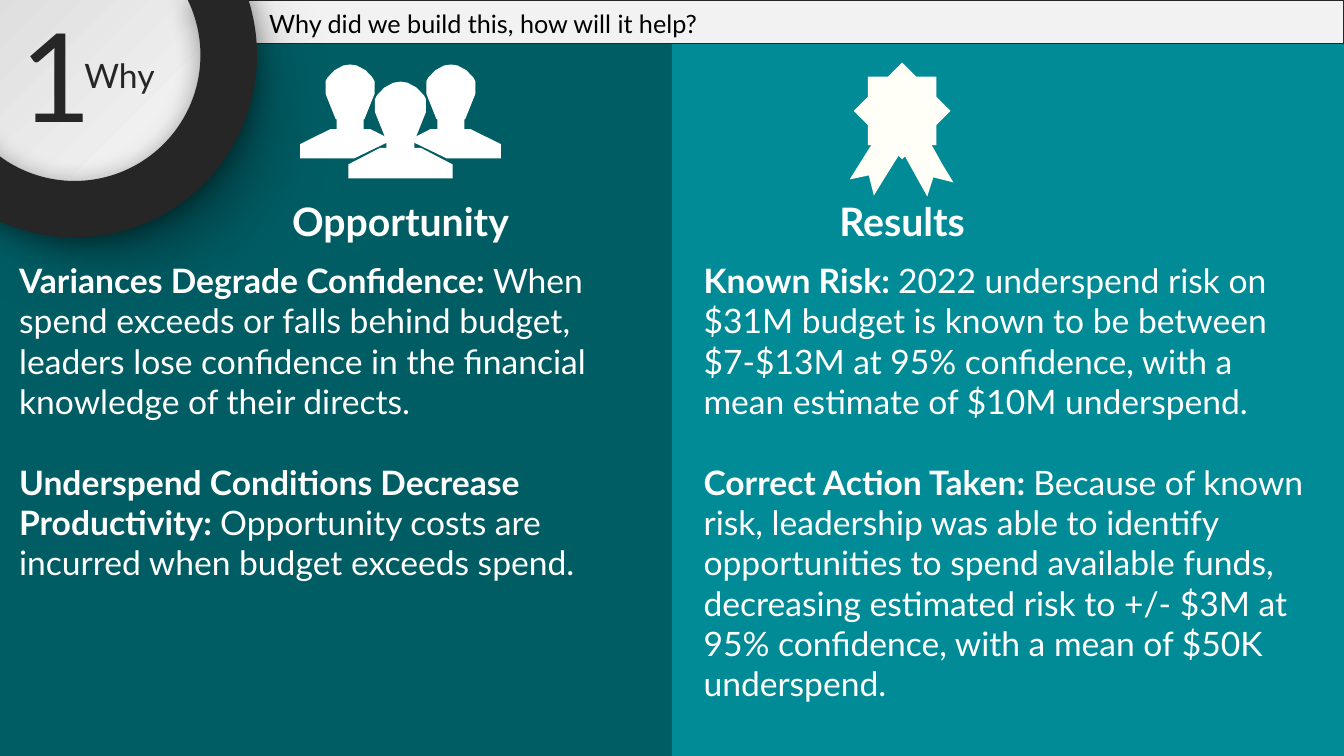
from pptx import Presentation
from pptx.dml.color import RGBColor
from pptx.enum.shapes import MSO_SHAPE
from pptx.enum.text import MSO_ANCHOR, MSO_AUTO_SIZE, PP_ALIGN
from pptx.oxml import parse_xml
from pptx.oxml.ns import nsdecls, qn
from pptx.util import Emu, Pt

WIDE, HIGH = Emu(12192000), Emu(6858000)
CELL = WIDE / 40
FONT = "Lato"
HUES = {
    "back": "F7F7F7", "dark": "005D64", "teal": "008B96", "bar": "F2F2F2",
    "ink": "262626", "gray": "808080", "edge": "D9D9D9", "black": "000000",
    "white": "FFFFFF", "cream": "FFFEF7",
}
HEAD = [(0, 0), (.2, .03), (.46, .17), (.67, .39), (.73, .5), (.73, .87),
        (.43, 1.62), (.37, 1.65), (.2, 1.73), (0, 1.75)]
BUST = [(-.59, 1.9), (.59, 1.9), (1.49, 2.37), (1.49, 2.77), (-1.49, 2.77), (-1.49, 2.37)]
SIDE = [(-.6, 1.92), (.58, 1.92), (1.49, 2.37), (1.49, 2.79), (-.13, 2.79), (-1.25, 2.25)]
TAILS = [
    [(26.7, 4.2), (27.45, 3.81), (28.05, 4.89), (28.38, 5.43), (27.78, 5.28),
     (27.6, 5.85), (27, 4.77)],
    [(26.31, 3.75), (27, 4.23), (26.34, 5.28), (26.01, 5.82), (25.86, 5.22),
     (25.29, 5.34), (25.95, 4.29)],
]
LEFT = [
    ("Variances Degrade Confidence: ",
     "When spend exceeds or falls behind budget, leaders lose confidence in the "
     "financial knowledge of their directs."),
    ("Underspend Conditions Decrease Productivity: ",
     "Opportunity costs are incurred when budget exceeds spend."),
]
RIGHT = [
    ("Known Risk: ",
     "2022 underspend risk on $31M budget is known to be between $7-$13M at 95% "
     "confidence, with a mean estimate of $10M underspend."),
    ("Correct Action Taken: ",
     "Because of known risk, leadership was able to identify opportunities to spend "
     "available funds, decreasing estimated risk to +/- $3M at 95% confidence, with "
     "a mean of $50K underspend."),
]


def grid(*cells):
    return [Emu(round(cell * CELL)) for cell in cells]


def tint(name):
    return RGBColor.from_string(HUES[name])


def paint(shape, hue, line=None, width=1):
    shape.shadow.inherit = False
    shape.fill.solid()
    shape.fill.fore_color.rgb = tint(hue)
    if line:
        shape.line.color.rgb = tint(line)
        shape.line.width = Pt(width)
    else:
        shape.line.fill.background()
    return shape


def block(slide, kind, box, hue, line=None, width=1):
    return paint(slide.shapes.add_shape(kind, *grid(*box)), hue, line, width)


def outline(slide, dots, hue):
    first, *rest = [grid(*dot) for dot in dots]
    pen = slide.shapes.build_freeform(*first, scale=1)
    pen.add_line_segments(rest, close=True)
    return paint(pen.convert_to_shape(), hue)


def shade(shape, blur, gap, turn):
    shape._element.spPr.find(qn("a:effectLst")).append(parse_xml(
        f'<a:outerShdw {nsdecls("a")} blurRad="{Pt(blur)}" dist="{Pt(gap)}" '
        f'dir="{turn * 60000}" algn="ctr" rotWithShape="0">'
        f'<a:srgbClr val="{HUES["black"]}"><a:alpha val="40000"/></a:srgbClr>'
        '</a:outerShdw>'))


def glow(shape):
    stops = "".join(
        f'<a:gs pos="{spot * 1000}"><a:srgbClr val="{HUES[hue]}"/></a:gs>'
        for spot, hue in [(0, "bar"), (22, "bar"), (94, "edge")])
    props = shape._element.spPr
    props.replace(props.find(qn("a:solidFill")), parse_xml(
        f'<a:gradFill {nsdecls("a")} rotWithShape="1"><a:gsLst>{stops}</a:gsLst>'
        '<a:path path="circle"><a:fillToRect l="100000" t="100000"/></a:path>'
        '</a:gradFill>'))


def write(shape, box, paras, size, hue, align=PP_ALIGN.LEFT, anchor=MSO_ANCHOR.TOP):
    shape.left, shape.top, shape.width, shape.height = grid(*box)
    node = shape._element
    node.getparent().append(node)
    frame = shape.text_frame
    frame.word_wrap = True
    frame.auto_size = MSO_AUTO_SIZE.SHAPE_TO_FIT_TEXT
    frame.vertical_anchor = anchor
    for spot, runs in enumerate(paras):
        para = frame.add_paragraph() if spot else frame.paragraphs[0]
        para.alignment = align
        para.space_before = Pt(0)
        para.space_after = Pt(28.8 if spot < len(paras) - 1 else 0)
        props = para._p.get_or_add_pPr()
        props.set("marL", "0")
        props.set("indent", "0")
        props.append(parse_xml(f'<a:buNone {nsdecls("a")}/>'))
        for text, bold in runs:
            run = para.add_run()
            run.text = text
            run.font.name = FONT
            run.font.size = Pt(size)
            run.font.bold = bold
            run.font.color.rgb = tint(hue)


def label(slide, box, text, size):
    shape = slide.shapes.add_textbox(*grid(*box))
    write(shape, box, [[(text, False)]], size, "ink", PP_ALIGN.CENTER, MSO_ANCHOR.MIDDLE)


def person(slide, mid, top, torso, scale=1, flip=1):
    head = HEAD + [(-x, y) for x, y in HEAD[-2:0:-1]]
    block(slide, MSO_SHAPE.RECTANGLE,
          (mid - .4 * scale, top + 1.29 * scale, .8 * scale, .75 * scale), "white")
    for part in (head, torso):
        outline(slide, [(mid + flip * scale * x, top + scale * y) for x, y in part], "white")


def medal(slide):
    for tail in TAILS:
        outline(slide, tail, "cream")
    for turn in (0, 45):
        block(slide, MSO_SHAPE.RECTANGLE, (25.83, 2.28, 2.04, 2.04), "cream").rotation = turn


def badge(slide):
    disc = block(slide, MSO_SHAPE.OVAL, (-1.6, -1.89, 8.25, 8.25), "bar", "gray", 2.5)
    glow(disc)
    shade(disc, 58, 34, 45)
    label(slide, (.3, -.18, 1.77, 4.74), "1", 88)
    label(slide, (1.71, 1.47, 3.69, 1.5), "Why", 24)
    ring = block(slide, MSO_SHAPE.BLOCK_ARC, (-3.21, -3.79, 10.86, 10.86), "ink")
    for spot, value in enumerate((199.98, 91.98, .155)):
        ring.adjustments[spot] = value
    shade(ring, 19, 3, 90)


def main():
    deck = Presentation()
    deck.slide_width, deck.slide_height = WIDE, HIGH
    slide = deck.slides.add_slide(deck.slide_layouts[4])
    slide.background.fill.solid()
    slide.background.fill.fore_color.rgb = tint("back")
    for left, hue in ((0, "dark"), (20, "teal")):
        block(slide, MSO_SHAPE.RECTANGLE, (left, 1.3, 20, 21.2), hue)
    block(slide, MSO_SHAPE.RECTANGLE, (0, 0, 40, 1.3), "bar", "ink")
    badge(slide)

    holders = {item.placeholder_format.idx: item for item in slide.placeholders}
    write(holders[0], (7.71, .09, 20.9, 1.2),
          [[("Why did we build this, how will it help?", False)]], 18, "black")
    for spot, box, text in ((1, (5.07, 5.73, 13.7, 1.7), "Opportunity"),
                            (3, (20.55, 5.73, 12.6, 1.7), "Results")):
        write(holders[spot], box, [[(text, True)]], 28, "white", PP_ALIGN.CENTER)
    for spot, box, points in ((2, (.27, 7.59, 18.93, 10), LEFT),
                              (4, (20.64, 7.59, 18.93, 13.6), RIGHT)):
        write(holders[spot], box, [[(lead, True), (rest, False)] for lead, rest in points],
              24, "white")

    medal(slide)
    for flip in (-1, 1):
        person(slide, 11.92 + flip * 1.5, 1.92, SIDE, flip=flip)
    person(slide, 11.92, 2.43, BUST, 1.04)
    deck.save("out.pptx")


if __name__ == "__main__":
    main()
